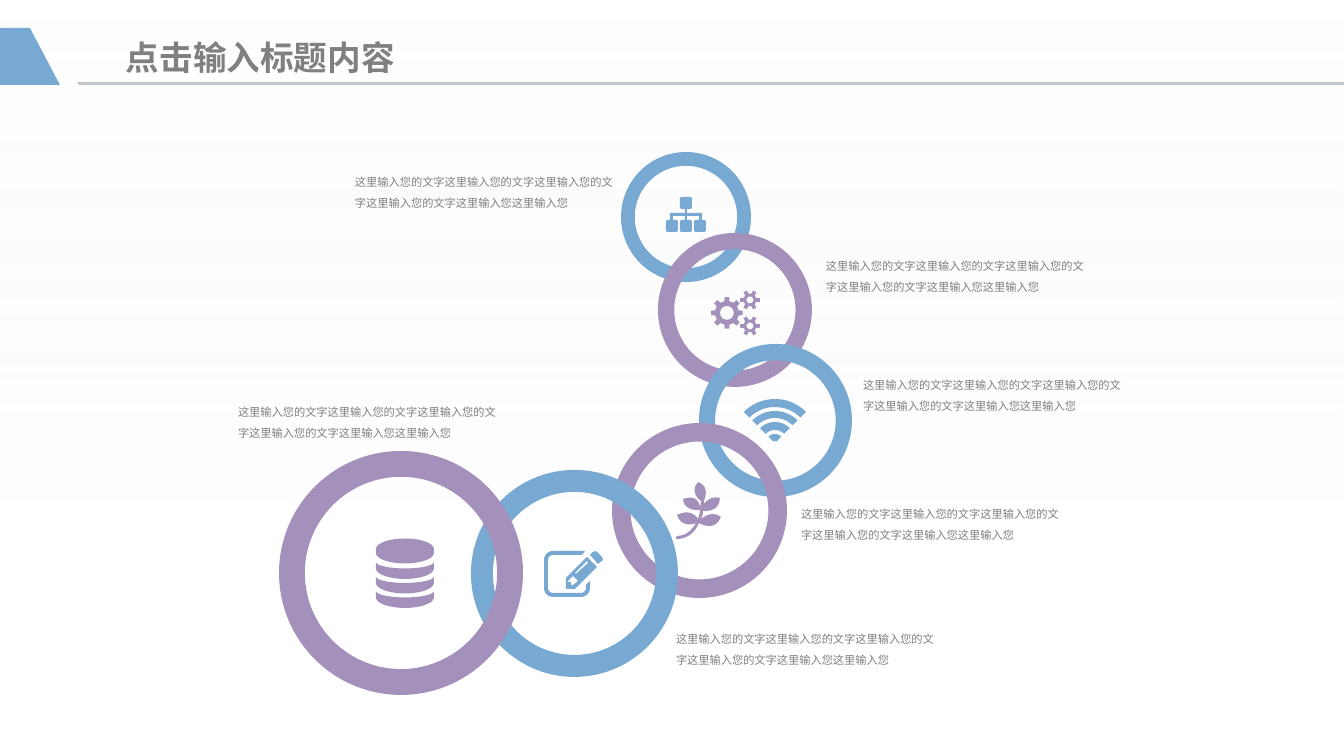
from math import cos, sin, radians
from pptx import Presentation
from pptx.dml.color import RGBColor
from pptx.enum.shapes import MSO_SHAPE
from pptx.enum.text import MSO_ANCHOR, MSO_AUTO_SIZE
from pptx.oxml.ns import qn
from pptx.util import Pt
from lxml.etree import SubElement

SCALE = 914400 / 134.4  # EMU in one px
WIDTH, HEIGHT = 1344, 756
BLUE, PURPLE, GREY, RULE = "77A9D3", "A491BB", "808080", "C4C7CB"

TITLE = "点击输入标题内容"
CAPTION = "这里输入您的文字" * 4 + "这里输入您" * 2
CAPTION_WIDTH, CAPTION_HEIGHT = 261, 38

# ring left, ring top, ring diameter, colour, icon, caption left, caption top
STEPS = [
    (621, 152, 130, BLUE, "hierarchy", 355, 169),
    (658, 233, 154, PURPLE, "gears", 826, 253),
    (699, 344, 153, BLUE, "signal", 863, 372),
    (612, 423, 175, PURPLE, "plant", 801, 501),
    (471, 470, 207, BLUE, "pencil", 676, 626),
    (279, 451, 244, PURPLE, "database", 238, 399),
]


# Outline helpers: each returns a list of points in px
def arc(x, y, rx, ry, start, end, steps=16):
    angles = [radians(start + (end - start) * i / steps) for i in range(steps + 1)]
    return [(x + rx * cos(a), y + ry * sin(a)) for a in angles]


def corner(x, y, radius, start, end):
    return arc(x, y, radius, radius, start, end, 6)


def rounded(x, y, w, h, r):
    return (corner(x + r, y + r, r, 180, 270) + corner(x + w - r, y + r, r, 270, 360)
            + corner(x + w - r, y + h - r, r, 0, 90) + corner(x + r, y + h - r, r, 90, 180))


def gear(x, y, outer, inner, hole, teeth):
    pitch = 360 / teeth
    rim = []
    for tooth in range(teeth):
        for radius, turn in ((inner, -0.28), (outer, -0.18), (outer, 0.18), (inner, 0.28)):
            angle = radians((tooth + turn) * pitch)
            rim.append((x + radius * cos(angle), y + radius * sin(angle)))
    return [rim, corner(x, y, hole, 0, 180) + corner(x, y, hole, 180, 360)]


def band(x, y, outer, inner):
    return arc(x, y, outer, outer, 225, 315) + arc(x, y, inner, inner, 315, 225)


def layer(top, top_sag, bottom):
    return arc(405, top, 29, top_sag, 180, 0) + arc(405, bottom, 29, 10.5, 0, 180)


def curves(start, segments):
    points = [start]
    for x1, y1, x2, y2, x3, y3 in segments:
        x0, y0 = points[-1]
        for i in range(1, 9):
            t = i / 8
            a, b, c, d = (1 - t) ** 3, 3 * t * (1 - t) ** 2, 3 * t * t * (1 - t), t ** 3
            points.append((a * x0 + b * x1 + c * x2 + d * x3,
                           a * y0 + b * y1 + c * y2 + d * y3))
    return points


BRANCHES = [(685, 209), (687, 209), (687, 213), (702, 213), (702, 220), (699, 220),
            (699, 216), (687, 216), (687, 220), (685, 220), (685, 216), (673, 216),
            (673, 220), (670, 220), (670, 213), (685, 213)]
PAD = ([(585, 551)] + corner(553, 560, 9, 270, 180) + corner(553, 588, 9, 180, 90)
       + corner(581, 588, 9, 90, 0) + [(590, 581), (586, 585)]
       + corner(581, 588, 5, 0, 90) + corner(553, 588, 5, 90, 180)
       + corner(553, 560, 5, 180, 270) + [(582, 555)])
PENCIL = [
    [(597, 567), (575, 589), (566, 589), (566, 578), (587, 557)],
    [(578, 581), (573, 576), (568, 581), (568, 582), (571, 582), (571, 585), (573, 585)],
    [(587, 561), (575, 573), (576, 574), (588, 563)],
    [(598, 564), (590, 555), (593, 552), (596, 551), (602, 557), (603, 560)],
]
LEAVES = [
    (695, 533, 687, 539, 677, 539), (676, 539, 676, 537, 677, 536),
    (685, 536, 692, 531, 696, 523), (692, 525, 681, 527, 677, 515),
    (689, 509, 696, 515, 698, 519), (699, 516, 700, 513, 700, 510),
    (700, 510, 684, 512, 683, 499), (699, 493, 700, 507, 700, 507),
    (701, 505, 701, 501, 701, 501), (701, 501, 689, 493, 698, 482),
    (711, 486, 704, 501, 704, 501), (704, 501, 704, 504, 704, 504),
    (704, 504, 710, 495, 720, 498), (720, 513, 703, 511, 703, 511),
    (703, 513, 703, 517, 700, 520), (700, 520, 711, 509, 721, 517),
    (715, 533, 699, 523, 699, 523),
]
ICONS = {
    "hierarchy": [rounded(680, 197, 12, 12, 2), BRANCHES]
                 + [rounded(x, 220, 12, 12, 2) for x in (666, 680, 694)],
    "gears": gear(727, 313, 16, 12, 7, 8) + gear(750, 300, 10, 6.5, 3.5, 6)
             + gear(750, 326, 10, 6.5, 3.5, 6),
    "signal": [band(775, 443, outer, inner)
               for outer, inner in ((44, 36), (32, 25), (21, 13), (9, 2))],
    "plant": [curves((699, 523), LEAVES)],
    "pencil": [PAD] + PENCIL,
    "database": [layer(549, -10.5, 553)]
                + [layer(562 + 14.5 * i, 6.5, 568.5 + 14.5 * i) for i in range(3)],
}


def emu(px):
    return round(px * SCALE)


def color(value):
    return RGBColor.from_string(value)


def paint(shape, fill):
    shape.fill.solid()
    shape.fill.fore_color.rgb = color(fill)
    shape.line.fill.background()
    shape.shadow.inherit = False


def add_outline(page, outlines, fill):
    outlines = [[(emu(x), emu(y)) for x, y in points] for points in outlines]
    builder = page.shapes.build_freeform(*outlines[0][0])
    for index, points in enumerate(outlines):
        if index:
            builder.move_to(*points[0])
        builder.add_line_segments(points[1:], close=True)
    paint(builder.convert_to_shape(), fill)


def add_text(page, area, text, size, font, bold=False):
    box = page.shapes.add_textbox(*map(emu, area))
    frame = box.text_frame
    frame.word_wrap = True
    frame.margin_left = frame.margin_right = frame.margin_top = frame.margin_bottom = 0
    span = frame.paragraphs[0].add_run()
    span.text = text
    span.font.size, span.font.name, span.font.bold = Pt(size), font, bold
    span.font.color.rgb = color(GREY)
    return frame, span


def add_background(page):
    panel = page.shapes.add_shape(MSO_SHAPE.RECTANGLE, 0, 0, emu(WIDTH), emu(HEIGHT))
    paint(panel, "FFFFFF")
    panel.fill.gradient()
    panel.fill.gradient_angle = 270
    stops = ((0, "FFFFFF", 55), (0.71, "F2F2F2", 0))
    for stop, (position, shade, opacity) in zip(panel.fill.gradient_stops, stops):
        stop.position = position
        stop.color.rgb = color(shade)
    for node, (_, _, opacity) in zip(panel._element.spPr.iter(qn("a:srgbClr")), stops):
        SubElement(node, qn("a:alpha")).set("val", str(opacity * 1000))


def main():
    deck = Presentation()
    deck.slide_width, deck.slide_height = emu(WIDTH), emu(HEIGHT)
    page = deck.slides.add_slide(deck.slide_layouts[6])

    # Background and header
    add_background(page)
    add_outline(page, [[(77, 82), (WIDTH, 82), (WIDTH, 85), (79, 85)]], RULE)
    add_outline(page, [[(30, 28), (60, 85), (0, 85), (0, 28)]], BLUE)
    frame, span = add_text(page, (126, 29, 313, 57), TITLE, 18, "Noto Sans CJK SC", True)
    frame.vertical_anchor = MSO_ANCHOR.MIDDLE
    SubElement(span.font._element, qn("a:ea")).set("typeface", "Noto Sans CJK SC")

    # Chain of rings with icons and captions
    for left, top, size, fill, icon, text_left, text_top in STEPS:
        ring = page.shapes.add_shape(MSO_SHAPE.DONUT, *map(emu, (left, top, size, size)))
        ring.adjustments[0] = 0.106
        paint(ring, fill)
        add_outline(page, ICONS[icon], fill)
        area = (text_left, text_top, CAPTION_WIDTH, CAPTION_HEIGHT)
        frame, span = add_text(page, area, CAPTION, 6, "Arial")
        frame.auto_size = MSO_AUTO_SIZE.SHAPE_TO_FIT_TEXT
        frame.paragraphs[0].line_spacing = 1.5

    deck.save("out.pptx")


if __name__ == "__main__":
    main()
